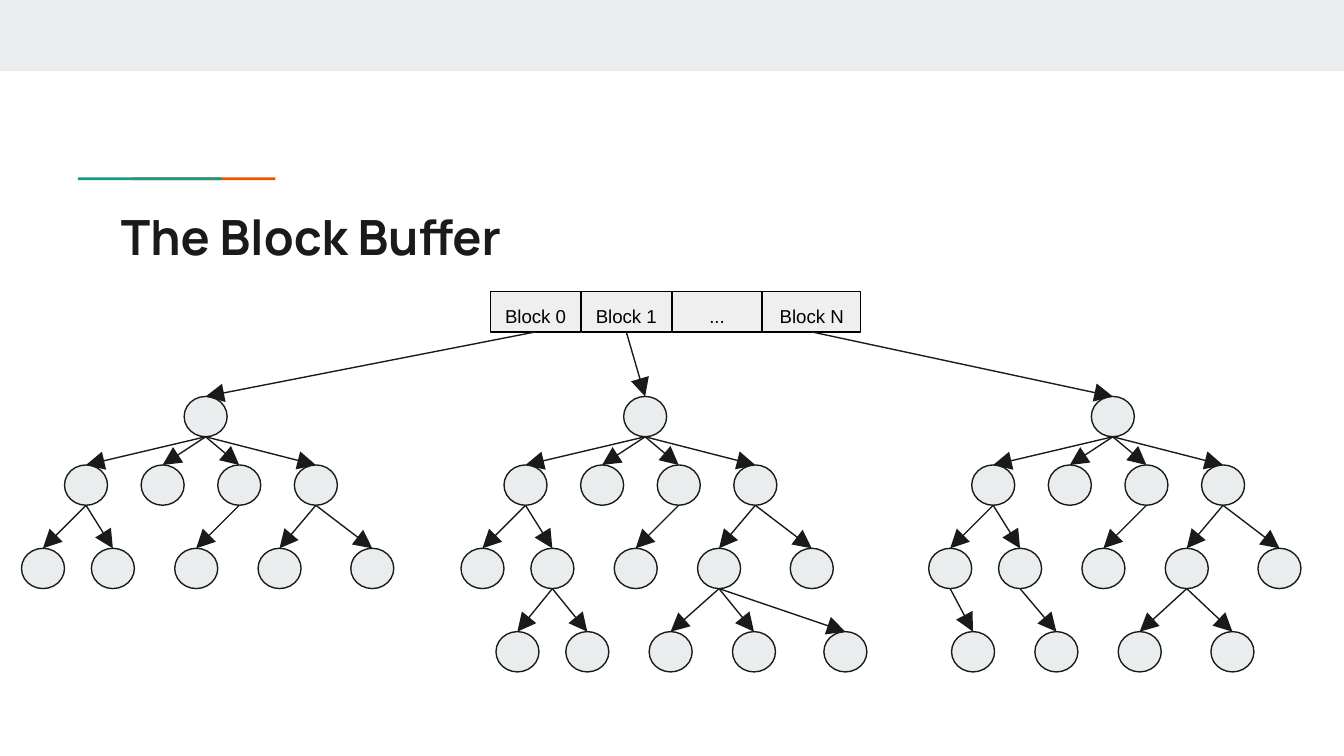
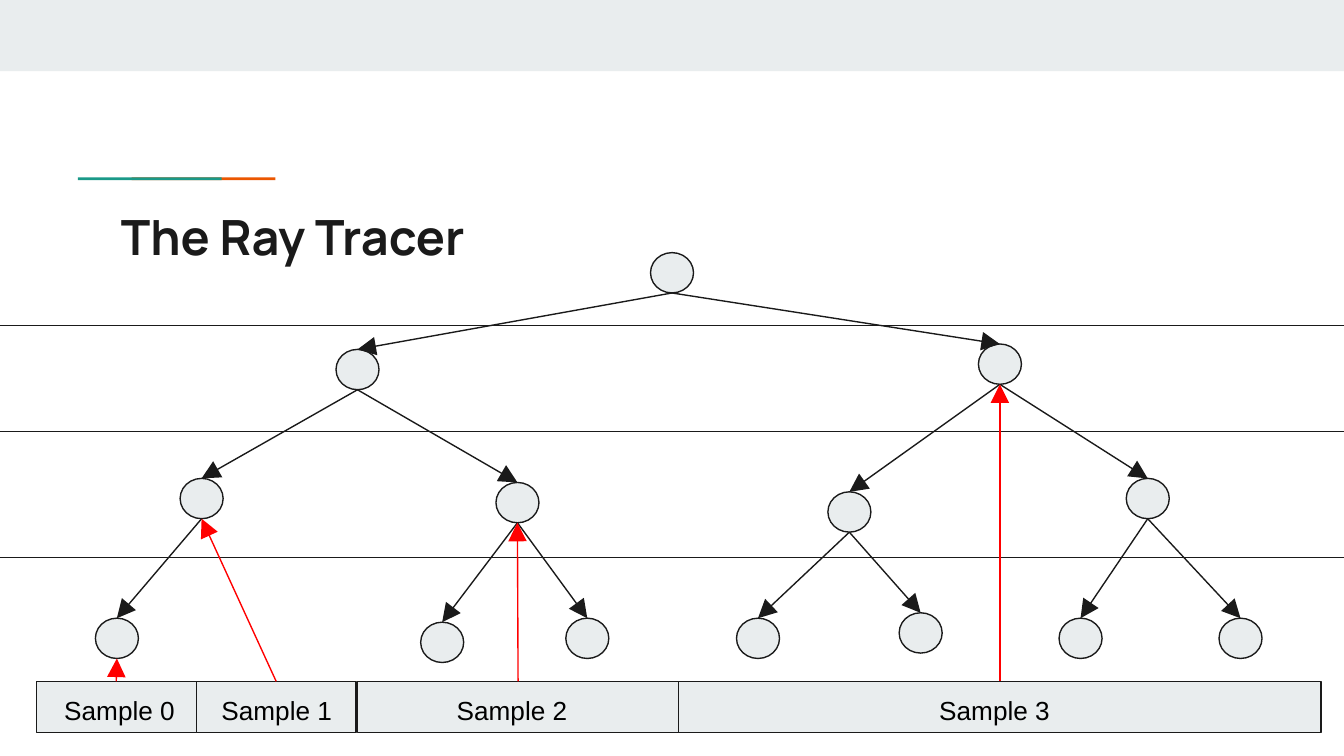
import pptx
import pptx.dml.color
import pptx.enum.shapes
import pptx.enum.text
import pptx.oxml
import pptx.oxml.ns
import pptx.util
import lxml.etree

Inches = pptx.util.Inches
Pt = pptx.util.Pt
rgb = pptx.dml.color.RGBColor.from_string
qn = pptx.oxml.ns.qn
RECTANGLE = pptx.enum.shapes.MSO_SHAPE.RECTANGLE
OVAL = pptx.enum.shapes.MSO_SHAPE.OVAL
LEFT = pptx.enum.text.PP_ALIGN.LEFT
CENTER = pptx.enum.text.PP_ALIGN.CENTER
TOP_ANCHOR = pptx.enum.text.MSO_ANCHOR.TOP

INK = "1A1A1A"
BLACK = "000000"
PALE = "E9EDEE"
GREY = "EFEFEF"
TEAL = "1A9988"
ORANGE = "EB5600"
RED = "FF0000"
TOP, BOTTOM = 0, 2
NODE_SIZE = (0.32, 0.3)


def draw_shape(page, kind, left, top, width, height, fill, outline=None):
    shape = page.shapes.add_shape(
        kind, Inches(left), Inches(top), Inches(width), Inches(height))
    shape.shadow.inherit = False
    shape.fill.solid()
    shape.fill.fore_color.rgb = rgb(fill)
    if outline:
        shape.line.color.rgb = rgb(outline)
        shape.line.width = Pt(0.75)
    else:
        shape.line.fill.background()
    return shape


def draw_line(page, begin, end, colour):
    line = page.shapes.add_connector(
        pptx.enum.shapes.MSO_CONNECTOR.STRAIGHT, *begin, *end)
    line.line.color.rgb = rgb(colour)
    line.line.width = Pt(0.75)
    lxml.etree.SubElement(line._element.spPr, qn("a:effectLst"))
    return line


deck = pptx.Presentation()
deck.slide_width = Inches(10)
deck.slide_height = deck.slide_width * 9 // 16

for heading in ("The Block Buffer", "The Ray Tracer"):
    page = deck.slides.add_slide(deck.slide_layouts[5])
    draw_shape(page, RECTANGLE, 0, 0, 10, 0.53, PALE)
    draw_shape(page, RECTANGLE, 0.98, 1.32, 1.07, 0.02, ORANGE)
    draw_shape(page, RECTANGLE, 0.58, 1.32, 1.07, 0.02, TEAL)
    title = page.shapes.title
    title.left, title.top = Inches(0.8), Inches(1.44)
    title.width, title.height = Inches(8.41), Inches(0.59)
    title.text_frame.text = heading

buffer_page, tracer_page = deck.slides
labels = [(page.shapes.title, 26, "Manrope", INK, LEFT) for page in deck.slides]
links = []

blocks = []
for index, (name, width) in enumerate(
        [("Block 0", 0.67), ("Block 1", 0.67), ("...", 0.67), ("Block N", 0.73)]):
    block = draw_shape(buffer_page, RECTANGLE, 3.65 + 0.675 * index, 2.17,
                       width, 0.3, GREY, BLACK)
    block.text_frame.text = name
    labels.append((block, 10, "Arial", BLACK, CENTER))
    blocks.append(block)

upper_levels = [
    [(-0.89, 0), (-0.32, 0), (0.25, 0), (0.82, 0)],
    [(-1.21, 0), (-0.69, 0), (-0.07, 2), (0.55, 3), (1.24, 3)],
]
trees = [
    (blocks[0], 1.37, []),
    (blocks[1], 4.64, [(-0.95, 1), (-0.43, 1), (0.19, 3), (0.81, 3), (1.49, 3)]),
    (blocks[3], 8.12, [(-1.04, 0), (-0.42, 1), (0.2, 3), (0.89, 3)]),
]
for block, root_left, leaves in trees:
    root = draw_shape(buffer_page, OVAL, root_left, 2.95, *NODE_SIZE, PALE, INK)
    links.append((buffer_page, block, BOTTOM, root, TOP, INK))
    parents = [root]
    for depth, level in enumerate(upper_levels + [leaves]):
        nodes = []
        for offset, parent in level:
            node = draw_shape(buffer_page, OVAL, root_left + offset,
                              3.46 + 0.62 * depth, *NODE_SIZE, PALE, INK)
            links.append((buffer_page, parents[parent], BOTTOM, node, TOP, INK))
            nodes.append(node)
        parents = nodes

for top in (2.42, 3.21, 4.15):
    draw_line(tracer_page, (0, Inches(top)), (Inches(10), Inches(top)), INK)

tracer_nodes = []
for left, top, parent in [
        (4.84, 1.88, None),
        (2.5, 2.6, 0), (7.28, 2.56, 0),
        (1.34, 3.56, 1), (3.69, 3.59, 1), (6.16, 3.66, 2), (8.38, 3.56, 2),
        (0.71, 4.6, 3), (3.13, 4.63, 4), (4.21, 4.6, 4), (5.48, 4.6, 5),
        (6.69, 4.56, 5), (7.88, 4.6, 6), (9.07, 4.6, 6)]:
    node = draw_shape(tracer_page, OVAL, left, top, *NODE_SIZE, PALE, INK)
    tracer_nodes.append(node)
    if parent is not None:
        links.append((tracer_page, tracer_nodes[parent], BOTTOM, node, TOP, INK))

for index, (left, width, label_left, align, target) in enumerate([
        (0.27, 1.19, 0.34, CENTER, 7),
        (1.46, 1.19, 1.51, CENTER, 3),
        (2.66, 2.39, 3.3, LEFT, 4),
        (5.05, 4.78, 6.89, LEFT, 2)]):
    sample = draw_shape(tracer_page, RECTANGLE, left, 5.07, width, 0.38, PALE, INK)
    box = tracer_page.shapes.add_textbox(
        Inches(label_left), Inches(5.07), Inches(1.1), Inches(0.38))
    box.text_frame.text = f"Sample {index}"
    labels.append((box, 14, "Arial", BLACK, align))
    links.append((tracer_page, sample, TOP, tracer_nodes[target], BOTTOM, RED))

for page, source, source_side, target, target_side, colour in links:
    begin, end = [
        (shape.left + shape.width // 2,
         shape.top + (shape.height if side == BOTTOM else 0))
        for shape, side in ((source, source_side), (target, target_side))]
    arrow = draw_line(page, begin, end, colour)
    lxml.etree.SubElement(arrow.line._get_or_add_ln(), qn("a:tailEnd"),
                          type="triangle", w="lg", len="lg")
    if source.auto_shape_type == RECTANGLE:
        arrow.begin_connect(source, source_side)
    if target_side == TOP:
        arrow.end_connect(target, target_side)

for box, size, font, colour, align in labels:
    frame = box.text_frame
    frame.word_wrap = True
    frame.auto_size = pptx.enum.text.MSO_AUTO_SIZE.NONE
    frame.vertical_anchor = TOP_ANCHOR
    frame.margin_left = frame.margin_right = Inches(0.1)
    frame.margin_top = frame.margin_bottom = Inches(0.1)
    para = frame.paragraphs[0]
    para.alignment = align
    para.font.name = font
    para.font.size = Pt(size)
    para.font.bold = font == "Manrope"
    para.font.color.rgb = rgb(colour)

deck.save("out.pptx")
